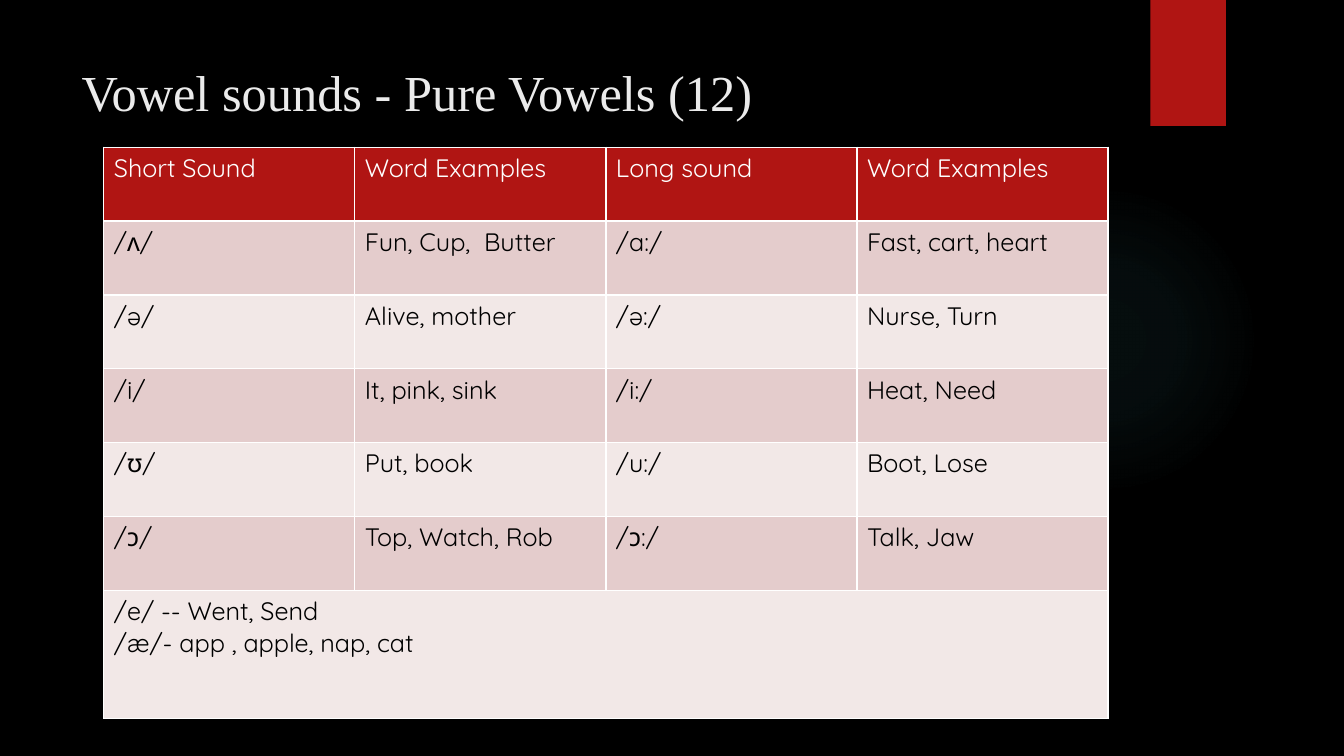
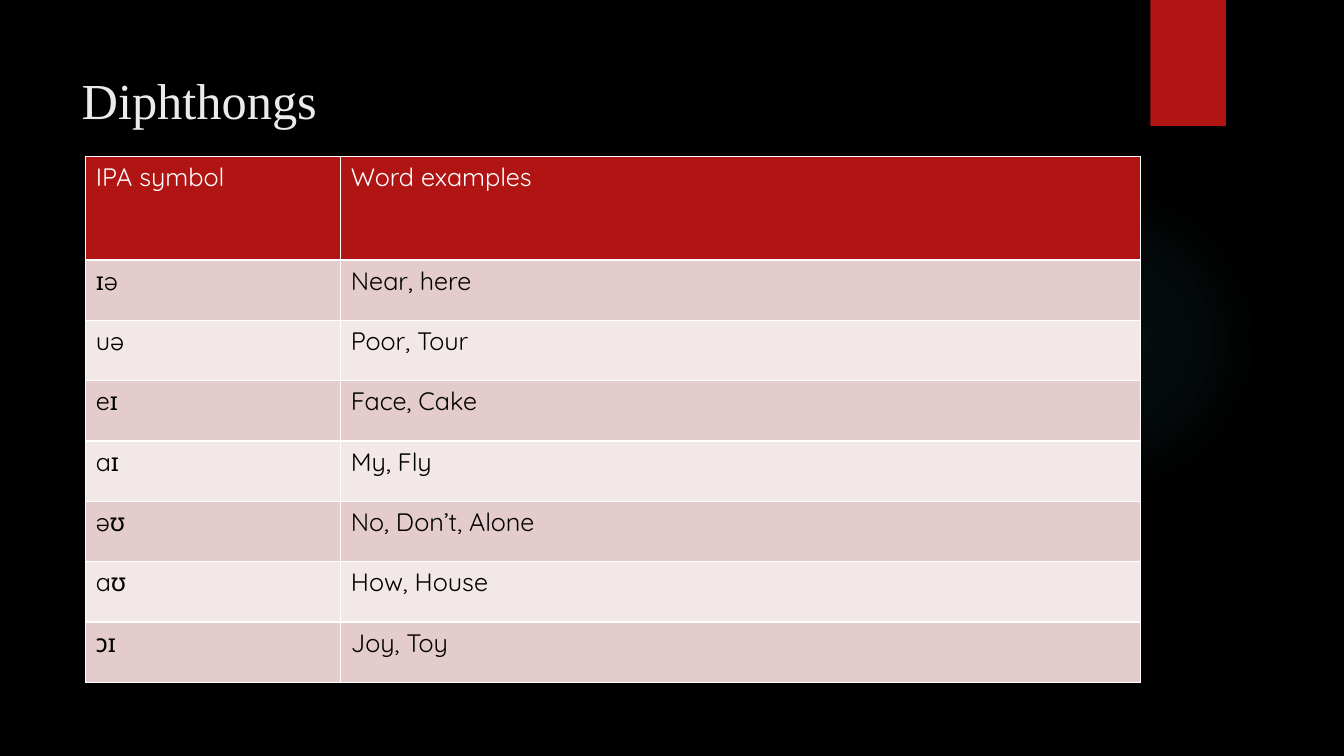
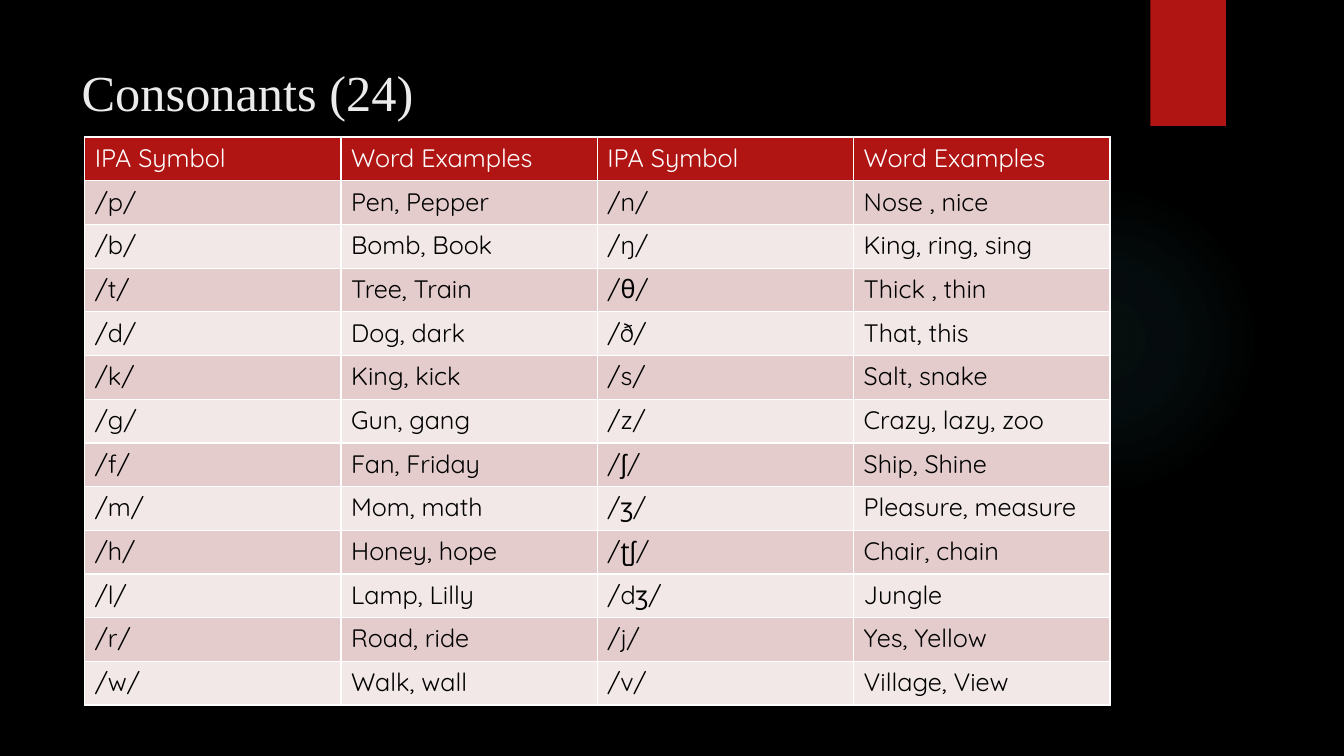
from pptx import Presentation
from pptx.dml.color import RGBColor
from pptx.enum.shapes import MSO_SHAPE as Shape
from pptx.enum.text import MSO_ANCHOR as Anchor, PP_ALIGN as Align
from pptx.oxml import parse_xml
from pptx.oxml.ns import nsdecls, qn
from pptx.util import Inches, Pt

COLORS = {
    "background": "000000",
    "accent": "B01513",
    "glow": "50B9C1",
    "title": "EBEBEB",
    "header_text": "FFFFFF",
    "body_text": "000000",
    "border": "FFFFFF",
    "band_dark": "E4CCCC",
    "band_light": "F2E8E7",
}
TITLE_FONT, BODY_FONT = "Times New Roman", "Quicksand"
GLOW_STOPS = [(0, 7), (36, 6), (69, 0)]  # position and opacity in percent

PURE_VOWELS = [
    ["Short Sound", "Word Examples", "Long sound", "Word Examples"],
    ["/ʌ/", "Fun, Cup,  Butter", "/a:/", "Fast, cart, heart"],
    ["/ə/", "Alive, mother", "/ə:/", "Nurse, Turn"],
    ["/i/", "It, pink, sink", "/i:/", "Heat, Need"],
    ["/ʊ/", "Put, book", "/u:/", "Boot, Lose"],
    ["/ɔ/", "Top, Watch, Rob", "/ɔ:/", "Talk, Jaw"],
    ["/e/ -- Went, Send\n/æ/- app , apple, nap, cat"],
]
DIPHTHONGS = [
    ["IPA symbol", "Word examples"],
    ["ɪə", "Near, here"],
    ["uə", "Poor, Tour"],
    ["eɪ", "Face, Cake"],
    ["aɪ", "My, Fly"],
    ["əʊ", "No, Don’t, Alone"],
    ["aʊ", "How, House"],
    ["ɔɪ", "Joy, Toy"],
]
CONSONANTS = [
    ["IPA Symbol", "Word Examples", "IPA Symbol", "Word Examples"],
    ["/p/", "Pen, Pepper", "/n/", "Nose , nice"],
    ["/b/", "Bomb, Book", "/ŋ/", "King, ring, sing"],
    ["/t/", "Tree, Train", "/θ/", "Thick , thin"],
    ["/d/", "Dog, dark", "/ð/", "That, this"],
    ["/k/", "King, kick", "/s/", "Salt, snake"],
    ["/g/", "Gun, gang", "/z/", "Crazy, lazy, zoo"],
    ["/f/", "Fan, Friday", "/ʃ/", "Ship, Shine"],
    ["/m/", "Mom, math", "/ʒ/", "Pleasure, measure"],
    ["/h/", "Honey, hope", "/ʈʃ/", "Chair, chain"],
    ["/l/", "Lamp, Lilly", "/dʒ/", "Jungle"],
    ["/r/", "Road, ride", "/j/", "Yes, Yellow"],
    ["/w/", "Walk, wall", "/v/", "Village, View"],
]


def rgb(name):
    return RGBColor.from_string(COLORS[name])


class Deck:
    def __init__(self):
        self.prs = Presentation()
        self.prs.slide_width, self.prs.slide_height = Inches(13.33), Inches(7.5)
        backdrop = self.prs.slide_master.background.fill
        backdrop.solid()
        backdrop.fore_color.rgb = rgb("background")
        self.slide = None

    def add_slide(self, title, title_height, top_inset=0.11):
        self.slide = self.prs.slides.add_slide(self.prs.slide_layouts[5])
        self.glow()
        self.corner_tab()
        self.title(title, title_height, top_inset)

    def plain_shape(self, preset, left, top, width, height):
        shape = self.slide.shapes.add_shape(
            preset, Inches(left), Inches(top), Inches(width), Inches(height))
        shape.shadow.inherit = False
        shape.line.fill.background()
        return shape

    def glow(self):
        """Faint round light that fades out towards its rim."""
        circle = self.plain_shape(Shape.OVAL, 9.41, 1.83, 3.08, 3.08)
        circle.fill.background()
        stops = "".join(
            f'<a:gs pos="{pos * 1000}"><a:srgbClr val="{COLORS["glow"]}">'
            f'<a:alpha val="{alpha * 1000}"/></a:srgbClr></a:gs>'
            for pos, alpha in GLOW_STOPS)
        gradient = parse_xml(
            f'<a:gradFill {nsdecls("a")} rotWithShape="1"><a:gsLst>{stops}</a:gsLst>'
            '<a:path path="circle"><a:fillToRect l="50000" t="50000" r="50000" b="50000"/>'
            '</a:path></a:gradFill>')
        properties = circle.element.spPr
        properties.replace(properties.find(qn("a:noFill")), gradient)

    def corner_tab(self):
        tab = self.plain_shape(Shape.RECTANGLE, 11.41, 0, 0.75, 1.25)
        tab.fill.solid()
        tab.fill.fore_color.rgb = rgb("accent")

    def title(self, text, height, top_inset):
        title = self.slide.shapes.title
        title.left, title.top = Inches(0.71), Inches(0.5)
        title.width, title.height = Inches(10.29), Inches(height)
        frame = title.text_frame
        frame.text = text
        frame.word_wrap = True
        frame.vertical_anchor = Anchor.TOP
        frame.margin_top = Inches(top_inset)
        heading = frame.paragraphs[0]
        heading.alignment = Align.LEFT
        heading.font.name, heading.font.size = TITLE_FONT, Pt(36)
        heading.font.color.rgb = rgb("title")

    def table(self, left, top, widths, heights, rows):
        """Banded table; a row with one text spans all columns."""
        table = self.slide.shapes.add_table(
            len(heights), len(widths), Inches(left), Inches(top),
            Inches(sum(widths)), Inches(sum(heights))).table
        for column, width in zip(table.columns, widths):
            column.width = Inches(width)
        for r, (texts, height) in enumerate(zip(rows, heights)):
            table.rows[r].height = Inches(height)
            if r == 0:
                fill, ink = "accent", "header_text"
            else:
                fill, ink = ("band_dark" if r % 2 else "band_light"), "body_text"
            for c in range(len(widths)):
                self.style_cell(table.cell(r, c), fill)
            for c, text in enumerate(texts):
                self.write_cell(table.cell(r, c), text, ink)
            if len(texts) == 1:
                table.cell(r, 0).merge(table.cell(r, len(widths) - 1))

    def style_cell(self, cell, fill):
        properties = cell._tc.get_or_add_tcPr()
        for side in "LRTB":
            properties.append(parse_xml(
                f'<a:ln{side} {nsdecls("a")} w="{Pt(1)}"><a:solidFill>'
                f'<a:srgbClr val="{COLORS["border"]}"/></a:solidFill></a:ln{side}>'))
        cell.fill.solid()
        cell.fill.fore_color.rgb = rgb(fill)

    def write_cell(self, cell, text, ink):
        cell.text = text
        for paragraph in cell.text_frame.paragraphs:
            font = paragraph.font
            font.name, font.size, font.bold = BODY_FONT, Pt(18), False
            font.color.rgb = rgb(ink)


def main():
    deck = Deck()

    deck.add_slide("Vowel sounds - Pure Vowels (12)", 0.97)
    deck.table(1.03, 1.46, [2.49] * 4, [4.4 / 6] * 6 + [1.27], PURE_VOWELS)

    deck.add_slide("Diphthongs", 0.89, top_inset=0.19)
    deck.table(0.85, 1.55, [2.53, 7.93], [1.03] + [4.19 / 7] * 7, DIPHTHONGS)

    deck.add_slide("Consonants (24)", 0.86)
    deck.table(0.84, 1.36, [10.17 / 4] * 4, [5.64 / 13] * 13, CONSONANTS)

    deck.prs.save("out.pptx")


if __name__ == "__main__":
    main()
